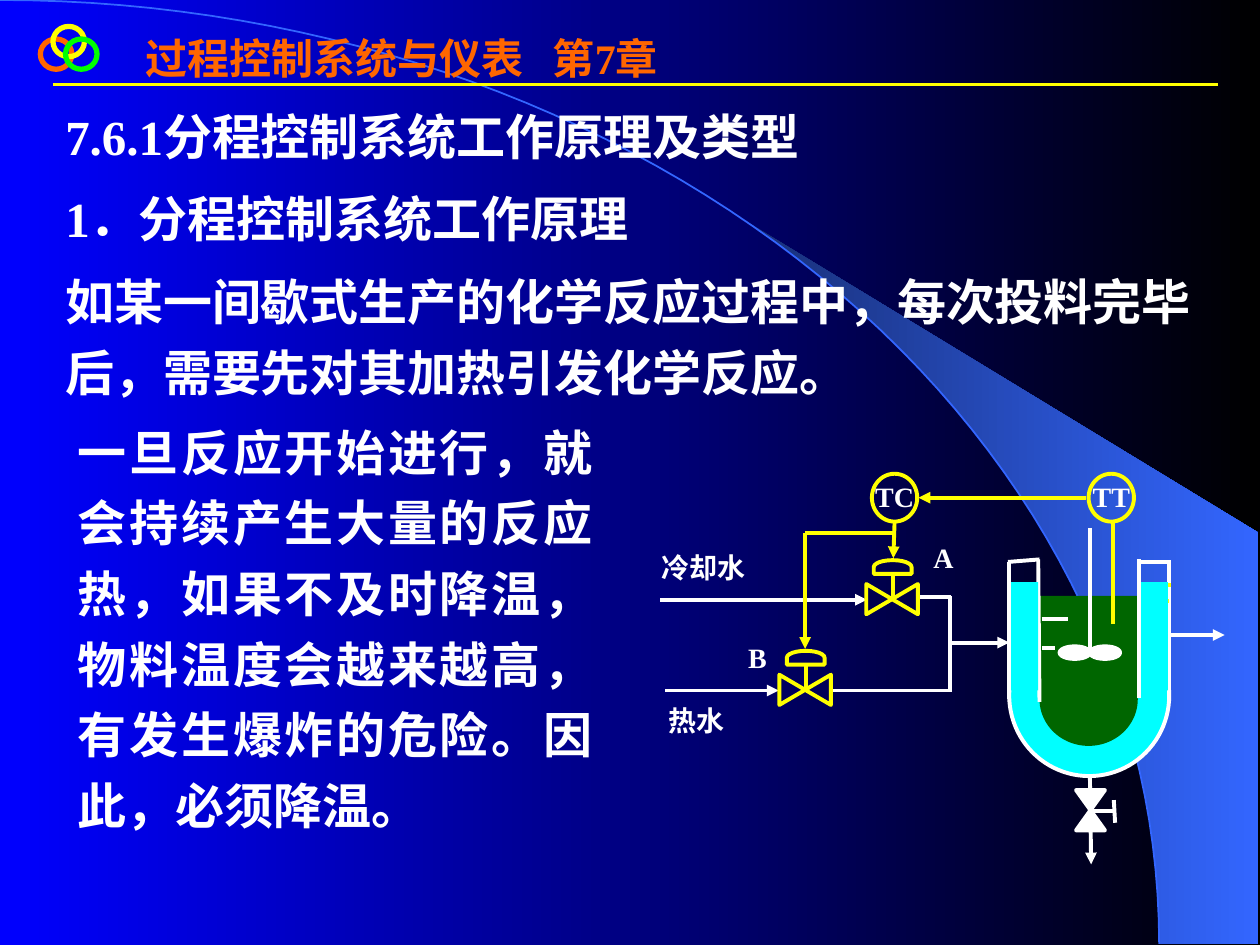
from math import asin, cos, pi, sin

from lxml.etree import SubElement
from pptx import Presentation
from pptx.dml.color import RGBColor
from pptx.enum.shapes import MSO_CONNECTOR, MSO_SHAPE
from pptx.enum.text import PP_ALIGN
from pptx.oxml.ns import qn
from pptx.util import Inches, Pt

COLORS = {
    "white": "FFFFFF", "yellow": "FFFF00", "orange": "FF6600", "lime": "00FF00",
    "cyan": "00FFFF", "green": "006600", "blue": "0000FF", "black": "000000",
    "sky": "3366FF", "navy": "182F76",
}
FONT = "Times New Roman"
ARC_WIDTH, ARC_HEIGHT = 9.2, 7.49
WEDGE_TIP = 5.89


def color(name):
    return RGBColor.from_string(COLORS[name])


def set_gradient(fill, start, end):
    fill.gradient()
    fill.gradient_angle = 0
    for stop, name in zip(fill.gradient_stops, (start, end)):
        stop.color.rgb = color(name)


def style_shape(shape, fill=None, line=None, width=2.25):
    shape.shadow.inherit = False
    if fill:
        shape.fill.solid()
        shape.fill.fore_color.rgb = color(fill)
    else:
        shape.fill.background()
    if line:
        shape.line.color.rgb = color(line)
        shape.line.width = Pt(width)
    else:
        shape.line.fill.background()


def add_shape(page, kind, bounds, fill=None, line=None, width=2.25, rotation=0):
    shape = page.shapes.add_shape(kind, *map(Inches, bounds))
    shape.rotation = rotation
    style_shape(shape, fill, line, width)


def add_line(page, points, name="white", width=2.25, arrow=False):
    x1, y1, x2, y2 = map(Inches, points)
    connector = page.shapes.add_connector(MSO_CONNECTOR.STRAIGHT, x1, y1, x2, y2)
    connector.line.color.rgb = color(name)
    connector.line.width = Pt(width)
    if arrow:
        SubElement(connector.line._get_or_add_ln(), qn("a:tailEnd"), type="triangle")
    SubElement(connector._element.spPr, qn("a:effectLst"))


def add_outline(page, points, close):
    corners = [(Inches(x), Inches(y)) for x, y in points]
    builder = page.shapes.build_freeform(*corners[0])
    builder.add_line_segments(corners[1:], close=close)
    return builder.convert_to_shape()


def add_text(page, bounds, lines, size, name="white", align=PP_ALIGN.JUSTIFY,
             spacing=1.2, before=0, tab=None):
    box = page.shapes.add_textbox(*map(Inches, bounds))
    frame = box.text_frame
    frame.word_wrap = True
    for index, line in enumerate(lines):
        para = frame.paragraphs[0] if index == 0 else frame.add_paragraph()
        para.text = line
        para.alignment = align
        para.line_spacing = spacing
        if index:
            para.space_before = Pt(before)
        if tab:
            tabs = SubElement(para._p.get_or_add_pPr(), qn("a:tabLst"))
            SubElement(tabs, qn("a:tab"), pos=str(Inches(tab)), algn="l")
        para.font.name = FONT
        para.font.size = Pt(size)
        para.font.bold = True
        para.font.color.rgb = color(name)


def arc_points(start, steps=60):
    angles = [start + (pi / 2 - start) * i / steps for i in range(steps + 1)]
    return [(ARC_WIDTH * sin(a), ARC_HEIGHT * (1 - cos(a))) for a in angles]


def draw_backdrop(page):
    set_gradient(page.background.fill, "blue", "black")
    wedge_points = arc_points(asin(WEDGE_TIP / ARC_WIDTH)) + [(9.99, 7.49), (9.99, 4.23)]
    wedge = add_outline(page, wedge_points, close=True)
    style_shape(wedge)
    set_gradient(wedge.fill, "navy", "sky")
    style_shape(add_outline(page, arc_points(0), close=False), line="sky", width=1)


def draw_header(page):
    add_line(page, (0.42, 0.67, 9.67, 0.67), "yellow", 1.5)
    add_text(page, (1.06, 0.21, 4.49, 0.5), ["过程控制系统与仪表\t第7章"], 24, "orange",
             PP_ALIGN.LEFT, 1, tab=3.23)
    for left, top, name in ((0.32, 0.31, "orange"), (0.42, 0.21, "yellow"), (0.52, 0.31, "lime")):
        add_shape(page, MSO_SHAPE.OVAL, (left, top, 0.25, 0.24), line=name, width=3)


def draw_reactor(page):
    # Jacket and contents
    add_shape(page, MSO_SHAPE.OVAL, (8.01, 4.88, 1.27, 1.28), "cyan", "white")
    add_shape(page, MSO_SHAPE.OVAL, (8.25, 5.18, 0.78, 0.74), "green")
    add_shape(page, MSO_SHAPE.RECTANGLE, (8.24, 4.73, 0.8, 0.8), "green")
    # Inner left wall, outer right wall, rims, stirrer shaft and liquid marks
    for points in ((8.24, 4.44, 8.25, 5.57), (9.28, 4.45, 9.28, 5.55),
                   (8, 4.46, 8.25, 4.44), (9.03, 4.46, 9.29, 4.46),
                   (8.65, 4.19, 8.65, 5.18),
                   (8.27, 4.91, 8.48, 4.91), (8.27, 5.14, 8.37, 5.14)):
        add_line(page, points)
    for left in (8.41, 8.65):
        add_shape(page, MSO_SHAPE.OVAL, (left, 5.13, 0.24, 0.1), "white", "white")
    for points in ((9.08, 4.64, 9.29, 4.64), (9.14, 4.77, 9.28, 4.77), (9.23, 4.89, 9.27, 4.89)):
        add_line(page, points, "yellow")
    # Jacket sides and the remaining walls
    for left in (8.01, 9.04):
        add_shape(page, MSO_SHAPE.RECTANGLE, (left, 4.62, 0.23, 0.86), "cyan")
    for points in ((8.01, 4.46, 8.01, 5.55), (9.04, 4.44, 9.04, 5.54)):
        add_line(page, points)
    # Drain with hand valve
    add_line(page, (8.65, 6.16, 8.66, 6.86), arrow=True)
    add_shape(page, MSO_SHAPE.FLOWCHART_COLLATE, (8.54, 6.27, 0.23, 0.32), "white", "white")
    add_line(page, (8.66, 6.44, 8.84, 6.44))
    add_line(page, (8.84, 6.35, 8.85, 6.53))


def draw_valve(page, x, y):
    """Control valve whose body is centred at x, y."""
    add_shape(page, MSO_SHAPE.FLOWCHART_COLLATE, (x - 0.12, y - 0.2, 0.24, 0.41),
              line="yellow", rotation=270)
    add_shape(page, MSO_SHAPE.FLOWCHART_DELAY, (x - 0.05, y - 0.4, 0.11, 0.3),
              line="yellow", rotation=270)
    add_line(page, (x + 0.01, y - 0.2, x + 0.01, y), "yellow")


def draw_instrument(page, x, label):
    """Instrument circle centred at x with its label."""
    add_shape(page, MSO_SHAPE.OVAL, (x - 0.18, 3.76, 0.36, 0.38), line="yellow")
    add_text(page, (x - 0.29, 3.7, 0.58, 0.35), [label], 16, align=PP_ALIGN.CENTER)


def draw_control_loop(page):
    # Water pipes
    for points in ((7.54, 4.73, 7.54, 5.49), (6.59, 5.48, 7.55, 5.48), (7.27, 4.74, 7.55, 4.74)):
        add_line(page, points)
    for points in ((7.54, 5.1, 8.01, 5.1), (9.27, 5.04, 9.72, 5.04),
                   (5.24, 4.76, 6.88, 4.76), (5.28, 5.48, 6.18, 5.48)):
        add_line(page, points, arrow=True)
    # Valves and instruments
    draw_valve(page, 7.08, 4.75)
    draw_valve(page, 6.39, 5.47)
    draw_instrument(page, 7.1, "TC")
    draw_instrument(page, 8.82, "TT")
    # Signal lines
    for points in ((8.83, 4.14, 8.83, 4.95), (6.39, 4.23, 7.09, 4.23)):
        add_line(page, points, "yellow")
    for points in ((8.62, 3.95, 7.29, 3.95), (6.39, 4.23, 6.39, 5.15), (7.1, 4.14, 7.09, 4.43)):
        add_line(page, points, "yellow", arrow=True)
    # Labels
    for label, bounds in (("热水", (5.21, 5.48, 0.88, 0.52)), ("冷却水", (5.15, 4.27, 1.06, 0.39)),
                          ("B", (5.84, 4.98, 0.54, 0.35)), ("A", (7.31, 4.19, 0.54, 0.35))):
        add_text(page, bounds, [label], 16)


def main():
    deck = Presentation()
    deck.slide_width, deck.slide_height = Inches(10), Inches(7.5)
    page = deck.slides.add_slide(deck.slide_layouts[6])
    draw_backdrop(page)
    draw_header(page)
    add_text(page, (0.42, 0.7, 9.2, 2.54), [
        "7.6.1分程控制系统工作原理及类型",
        "1．分程控制系统工作原理",
        "如某一间歇式生产的化学反应过程中，每次投料完毕后，需要先对其加热引发化学反应。",
    ], 28, align=PP_ALIGN.LEFT, before=7)
    draw_reactor(page)
    draw_control_loop(page)
    add_text(page, (0.52, 3.21, 4.28, 3.46), [
        "一旦反应开始进行，就会持续产生大量的反应热，如果不及时降温，"
        "物料温度会越来越高，有发生爆炸的危险。因此，必须降温。",
    ], 28)
    deck.save("out.pptx")


if __name__ == "__main__":
    main()
